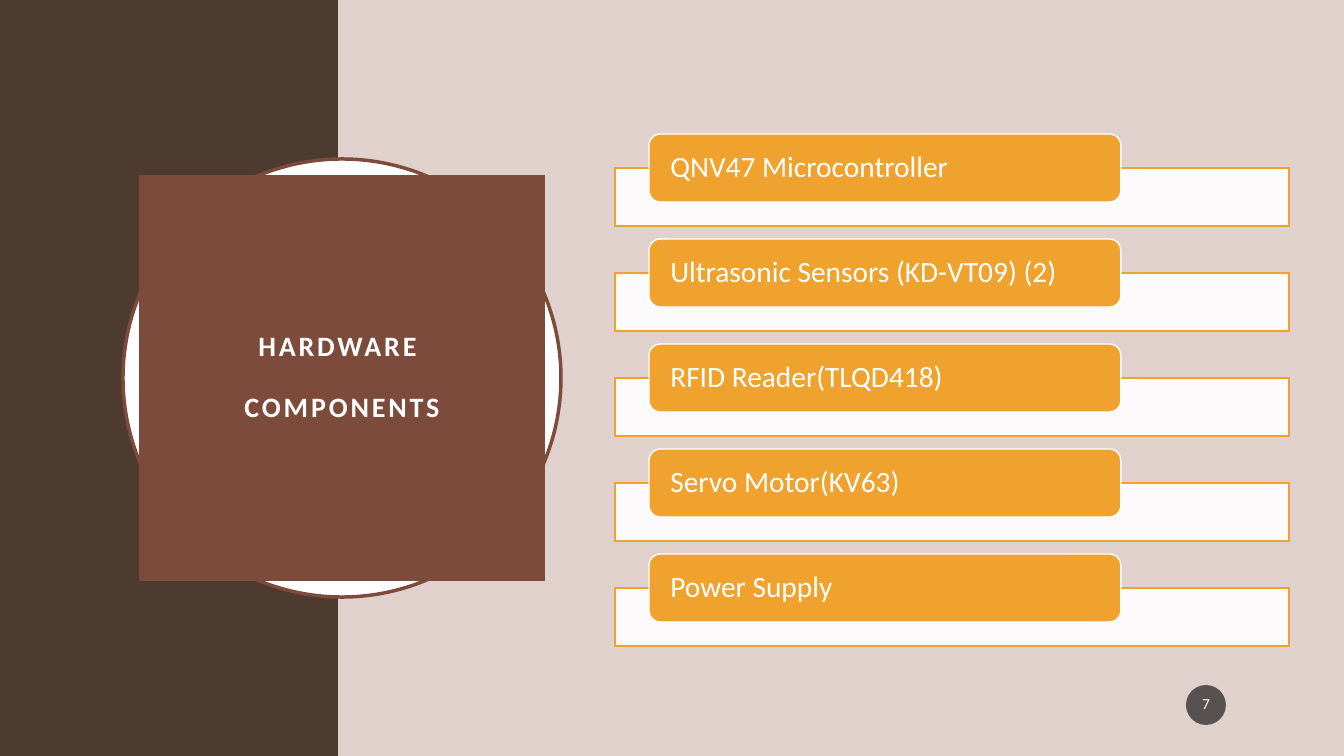
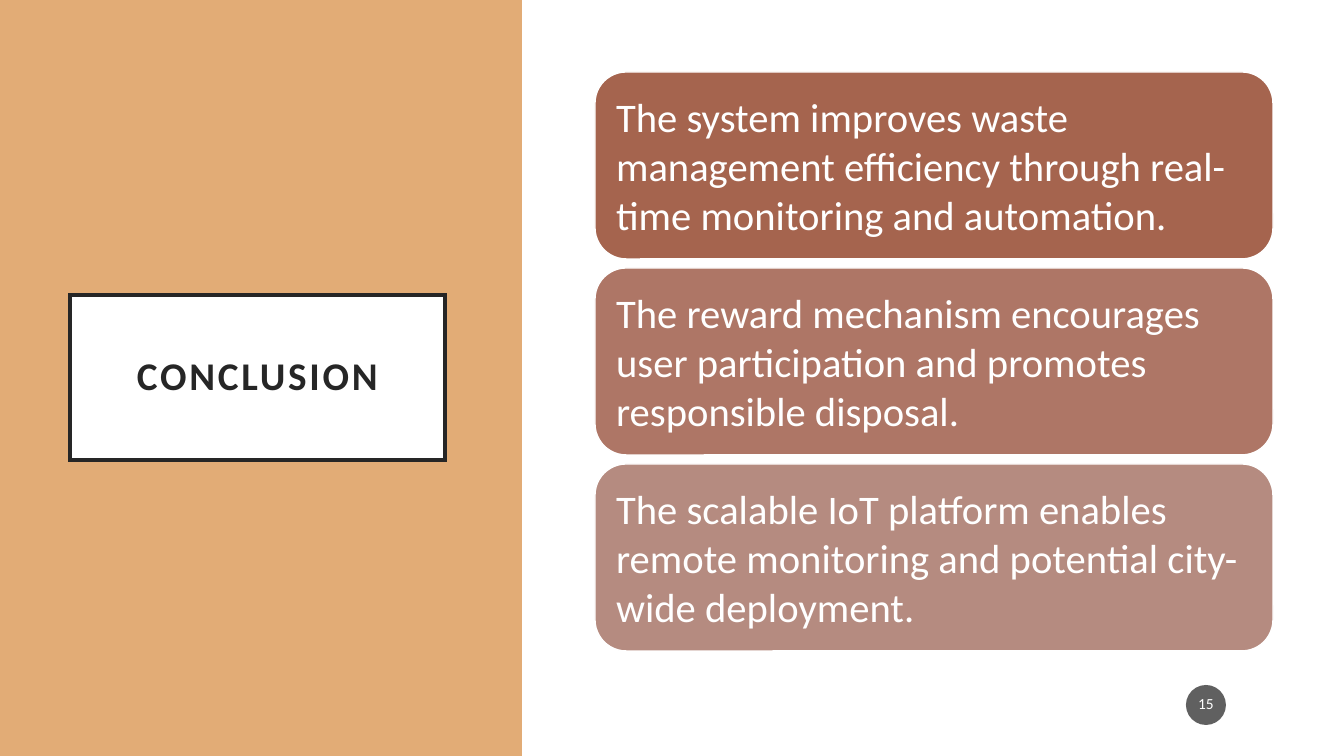
import dataclasses

import pptx
import pptx.dml.color
import pptx.enum.shapes
import pptx.enum.text
import pptx.oxml.ns
import pptx.util
from lxml import etree

SHAPE = pptx.enum.shapes.MSO_SHAPE
ALIGN = pptx.enum.text.PP_ALIGN
WIDTH, HEIGHT = 1344, 756
SCALE = 12192000 / WIDTH


@dataclasses.dataclass(frozen=True)
class Theme:
    font: str = "Calibri"
    white: str = "FFFFFF"
    ink: str = "262626"
    blush: str = "E1D1CC"
    coffee: str = "4E3B30"
    brick: str = "7C4B3B"
    sand: str = "E2AC76"
    amber: str = "F0A22E"
    badge: str = "1D1D1D"
    cards: tuple = ("A5644E", "AE7666", "B58B80")
    small_title: int = 20
    big_title: int = 28
    item: int = 21
    card: int = 29
    number: int = 11


T = Theme()


def px(n):
    return pptx.util.Emu(round(n * SCALE))


def rgb(value):
    return pptx.dml.color.RGBColor.from_string(value)


# Shared drawing helpers

def paint(sp, fill, line=None, weight=1, alpha=None):
    qn = pptx.oxml.ns.qn
    sp.fill.solid()
    sp.fill.fore_color.rgb = rgb(fill)
    if alpha is not None:
        color = sp.element.spPr.find(".//" + qn("a:srgbClr"))
        etree.SubElement(color, qn("a:alpha"), val=str(alpha * 1000))
    if line:
        sp.line.color.rgb = rgb(line)
        sp.line.width = pptx.util.Pt(weight)
        # Sharp outline corners
        etree.SubElement(sp.element.spPr.find(qn("a:ln")), qn("a:miter"), lim="800000")
    else:
        sp.line.fill.background()


def add_box(s, kind, box, fill, **look):
    sp = s.shapes.add_shape(kind, *map(px, box))
    sp.shadow.inherit = False
    paint(sp, fill, **look)
    return sp


def write(sp, text, size, color=T.white, bold=False, align=ALIGN.LEFT,
          inset=(0, 0), leading=0.9, gap=0, tracking=0):
    """Fill a shape with text, one paragraph for each line."""
    tf = sp.text_frame
    tf.word_wrap = True
    tf.auto_size = pptx.enum.text.MSO_AUTO_SIZE.NONE
    tf.vertical_anchor = pptx.enum.text.MSO_ANCHOR.MIDDLE
    tf.margin_left = tf.margin_right = px(inset[0])
    tf.margin_top = tf.margin_bottom = px(inset[1])
    for i, line in enumerate(text.split("\n")):
        p = tf.add_paragraph() if i else tf.paragraphs[0]
        p.alignment = align
        p.line_spacing = leading
        p.space_before = pptx.util.Pt(gap if i else 0)
        r = p.add_run()
        r.text = line
        r.font.name = T.font
        r.font.size = pptx.util.Pt(size)
        r.font.bold = bold
        r.font.color.rgb = rgb(color)
        if tracking:
            r.font._element.set("spc", str(tracking * 100))


def add_title(s, box, text, size, fill, color, gap=0, **look):
    sp = s.shapes.title
    sp.left, sp.top, sp.width, sp.height = map(px, box)
    s.shapes.element.append(sp.element)  # bring in front of the panel
    paint(sp, fill, **look)
    write(sp, text, size, color, bold=True, align=ALIGN.CENTER,
          inset=(20, 20), gap=gap, tracking=2)


def add_number(s, number):
    sp = add_box(s, SHAPE.OVAL, (1186, 685, 40, 40), T.badge, alpha=70)
    write(sp, str(number), T.number, align=ALIGN.CENTER, inset=(2, 5))


def new_slide(prs, background, panel_width, panel_fill):
    s = prs.slides.add_slide(prs.slide_layouts[5])
    s.background.fill.solid()
    s.background.fill.fore_color.rgb = rgb(background)
    add_box(s, SHAPE.RECTANGLE, (0, 0, panel_width, HEIGHT), panel_fill)
    return s


# Regions

def add_medallion(s, box, text):
    """Square title on a ringed circle."""
    x, y, side = box
    rim = 16
    add_box(s, SHAPE.OVAL, (x, y, side, side), T.white, line=T.brick, weight=2.5)
    inner = side - 2 * rim
    add_title(s, (x + rim, y + rim, inner, inner), text, T.small_title,
              T.brick, T.white, gap=22)


def add_tabbed_list(s, box, items):
    """Rows of a pale strip with a label tab overlapping its top."""
    x, y, w, h = box
    row_h, tab_h, overlap = 92, 68, 34
    step = (h - row_h) / (len(items) - 1)
    for i, item in enumerate(items):
        top = y + i * step
        add_box(s, SHAPE.RECTANGLE, (x, top + overlap, w, row_h - overlap),
                T.white, line=T.amber, alpha=90)
        tab = add_box(s, SHAPE.ROUNDED_RECTANGLE, (x + 34, top, w * 0.7, tab_h),
                      T.amber, line=T.white)
        write(tab, item, T.item, inset=(18, 0))


def add_cards(s, box, items):
    """Equal rounded cards, stacked with a fixed gap."""
    x, y, w, h = box
    gap = 9
    card_h = (h - gap * (len(items) - 1)) / len(items)
    for i, (item, fill) in enumerate(zip(items, T.cards)):
        sp = add_box(s, SHAPE.ROUNDED_RECTANGLE,
                     (x, y + i * (card_h + gap), w, card_h), fill, line=T.white)
        write(sp, item, T.card, inset=(12, 3), leading=1.0)


# Slides

def hardware_slide(prs):
    s = new_slide(prs, T.blush, 338, T.coffee)
    add_medallion(s, (123, 159, 438), "HARDWARE \nCOMPONENTS")
    add_tabbed_list(s, (615, 134, 674, 512), [
        "QNV47 Microcontroller",
        "Ultrasonic Sensors (KD-VT09) (2)",
        "RFID Reader(TLQD418)",
        "Servo Motor(KV63)",
        "Power Supply",
    ])
    add_number(s, 7)


def conclusion_slide(prs):
    s = new_slide(prs, T.white, 522, T.sand)
    add_title(s, (70, 295, 375, 165), "CONCLUSION", T.big_title,
              T.white, T.ink, line=T.ink, weight=2.5)
    add_number(s, 15)
    add_cards(s, (595, 72, 678, 579), [
        "The system improves waste management efficiency through "
        "real-time monitoring and automation.",
        "The reward mechanism encourages user participation and "
        "promotes responsible disposal.",
        "The scalable IoT platform enables remote monitoring and "
        "potential city-wide deployment.",
    ])


def main():
    prs = pptx.Presentation()
    prs.slide_width, prs.slide_height = px(WIDTH), px(HEIGHT)
    hardware_slide(prs)
    conclusion_slide(prs)
    prs.save("out.pptx")


if __name__ == "__main__":
    main()
